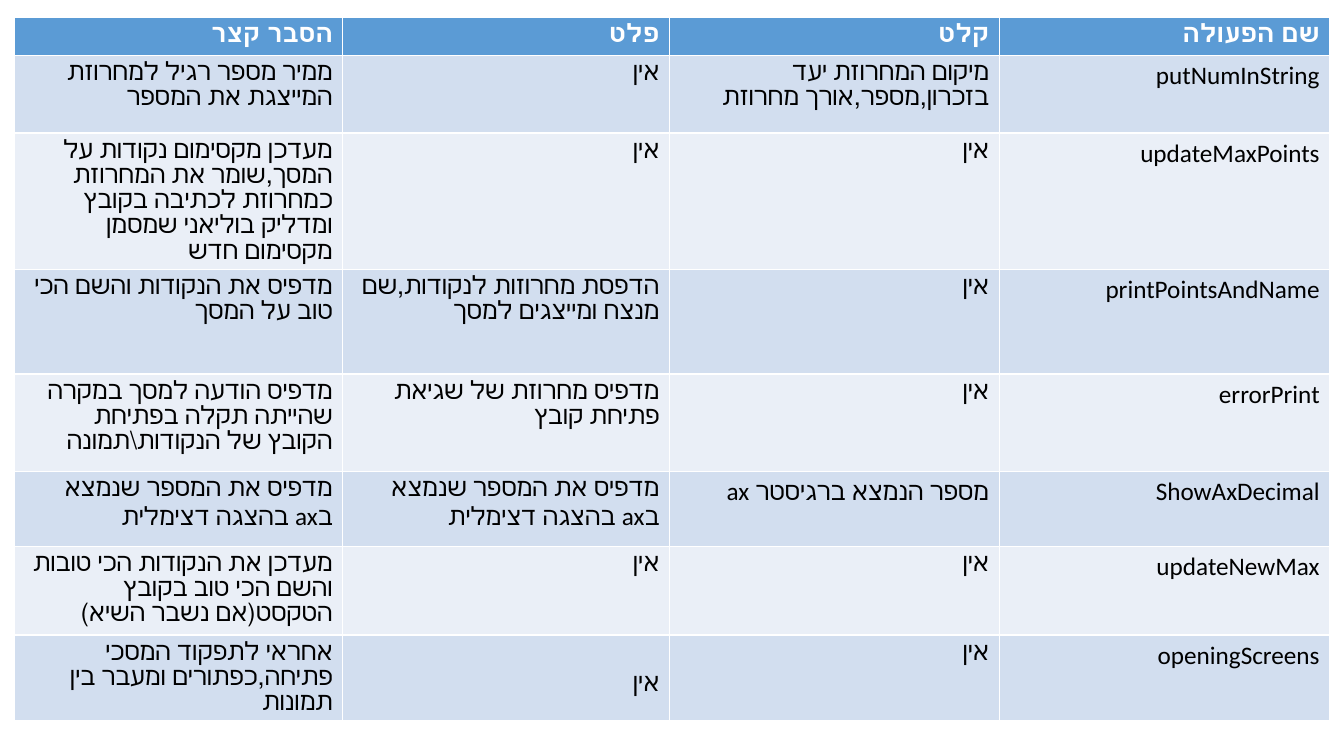
"""Build a slide with a right-to-left table of procedures."""
from pptx import Presentation
from pptx.dml.color import RGBColor
from pptx.enum.text import PP_ALIGN
from pptx.util import Inches, Pt

RIGHT = PP_ALIGN.RIGHT
FONT = "Calibri"
HEAD, ODD, EVEN = "5B9BD5", "D2DEEF", "EAEFF7"
WHITE, BLACK = "FFFFFF", "000000"
LEFT, TOP = 0.14, 0.17
WIDTHS = [3.26, 3.24, 3.27, 3.28]
HEIGHTS = [0.38, 0.77, 1.35, 1.04, 0.97, 0.74, 0.88, 0.84]
NONE = "אין"
DECIMAL = "מדפיס את המספר שנמצא בax בהצגה דצימלית"
ROWS = [
    ("הסבר קצר", "פלט", "קלט", "שם הפעולה"),
    ("ממיר מספר רגיל למחרוזת המייצגת את המספר", NONE,
     "מיקום המחרוזת יעד בזכרון,מספר,אורך מחרוזת", "putNumInString"),
    ("מעדכן מקסימום נקודות על המסך,שומר את המחרוזת כמחרוזת לכתיבה בקובץ "
     "ומדליק בוליאני שמסמן מקסימום חדש", NONE, NONE, "updateMaxPoints"),
    ("מדפיס את הנקודות והשם הכי טוב על המסך",
     "הדפסת מחרוזות לנקודות,שם מנצח ומייצגים למסך", NONE, "printPointsAndName"),
    ("מדפיס הודעה למסך במקרה שהייתה תקלה בפתיחת הקובץ של הנקודות\\תמונה",
     "מדפיס מחרוזת של שגיאת פתיחת קובץ", NONE, "errorPrint"),
    (DECIMAL, DECIMAL, "מספר הנמצא ברגיסטר ax", "ShowAxDecimal"),
    ("מעדכן את הנקודות הכי טובות והשם הכי טוב בקובץ הטקסט(אם נשבר השיא)",
     NONE, NONE, "updateNewMax"),
    ("אחראי לתפקוד המסכי פתיחה,כפתורים ומעבר בין תמונות",
     NONE, NONE, "openingScreens"),
]


def color(code):
    return RGBColor.from_string(code)


def fill_cell(cell, text, back, ink, bold):
    cell.fill.solid()
    cell.fill.fore_color.rgb = color(back)
    cell.text_frame.text = text
    para = cell.text_frame.paragraphs[0]
    para.alignment = RIGHT
    para._p.get_or_add_pPr().set("rtl", "1")
    font = para.runs[0].font
    font.name, font.size, font.bold = FONT, Pt(18), bold
    font.color.rgb = color(ink)


def main():
    deck = Presentation()
    deck.slide_width, deck.slide_height = Inches(13.33), Inches(7.5)
    slide = deck.slides.add_slide(deck.slide_layouts[6])
    table = slide.shapes.add_table(
        len(ROWS), len(WIDTHS), Inches(LEFT), Inches(TOP),
        Inches(sum(WIDTHS)), Inches(sum(HEIGHTS))).table
    for col, width in zip(table.columns, WIDTHS):
        col.width = Inches(width)
    for r, (texts, height) in enumerate(zip(ROWS, HEIGHTS)):
        table.rows[r].height = Inches(height)
        back = HEAD if r == 0 else ODD if r % 2 else EVEN
        for c, text in enumerate(texts):
            fill_cell(table.cell(r, c), text, back,
                      BLACK if r else WHITE, r == 0)
    table.cell(len(ROWS) - 1, 1).margin_top = Inches(0.36)
    deck.save("out.pptx")


if __name__ == "__main__":
    main()
